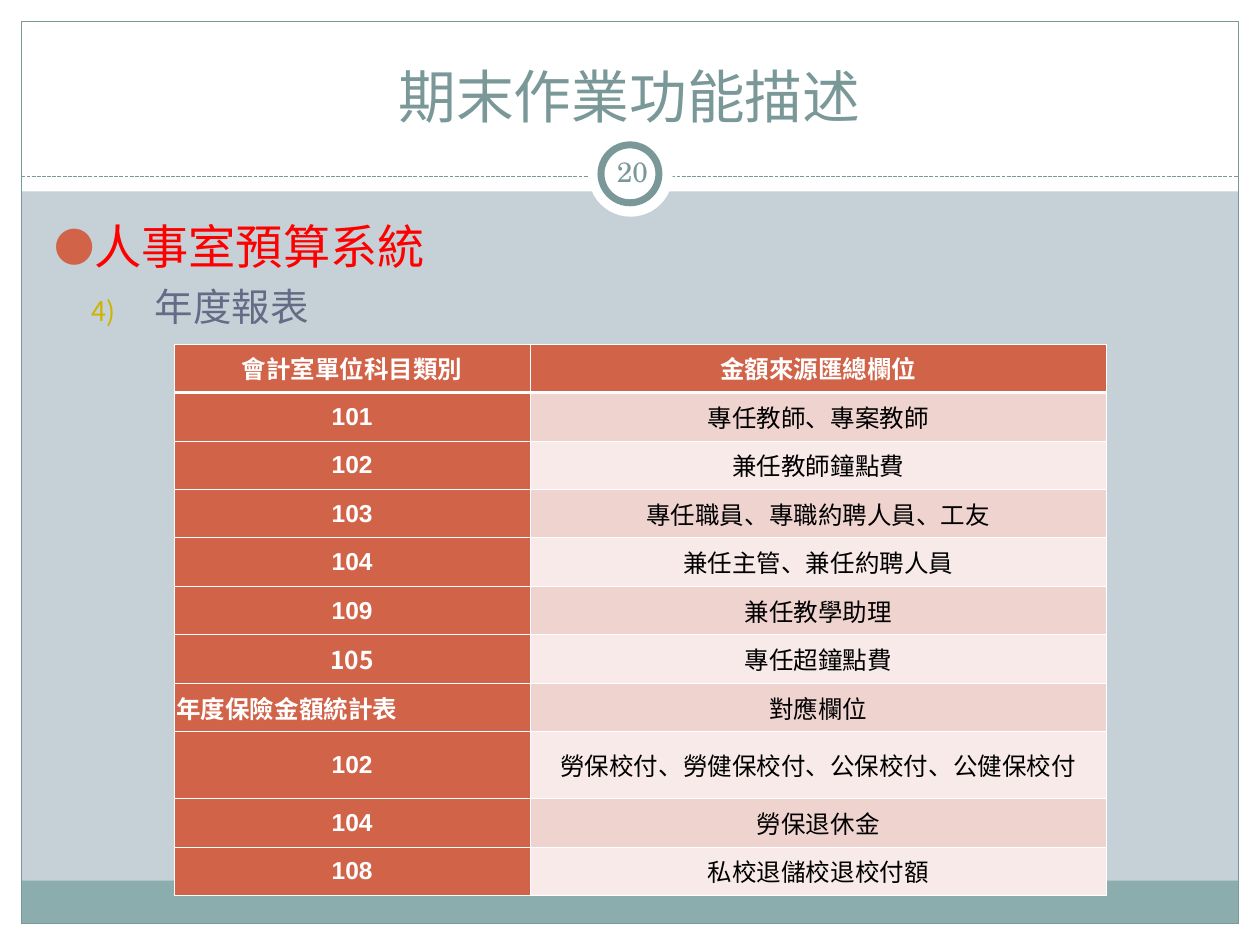
from lxml import etree
from pptx import Presentation, util as u
from pptx.dml.color import RGBColor
from pptx.enum import dml, shapes, text
from pptx.oxml.ns import qn

COLORS = {
    "background": "C5D1D7", "white": "FFFFFF", "band": "8CADAE",
    "frame": "7B9899", "accent": "D16349", "dark_row": "EED3CF",
    "light_row": "F7EAE9", "heading": "FF0000", "item": "646B86",
    "number": "CCB400", "black": "000000",
}
SERIF, SANS, LATIN = "TeX Gyre Schola", "Noto Sans CJK SC", "Arial"
COLUMNS, ROWS = 100, 75  # slide grid of square units

REPORT_HEADER = ("會計室單位科目類別", "金額來源匯總欄位")
REPORT_ROWS = [
    ("101", "專任教師、專案教師"),
    ("102", "兼任教師鐘點費"),
    ("103", "專任職員、專職約聘人員、工友"),
    ("104", "兼任主管、兼任約聘人員"),
    ("109", "兼任教學助理"),
    ("105", "專任超鐘點費"),
    ("年度保險金額統計表", "對應欄位"),
    ("102", "勞保校付、勞健保校付、公保校付、公健保校付"),
    ("104", "勞保退休金"),
    ("108", "私校退儲校退校付額"),
]
SECTION_ROW, TALL_ROW, SANS_NUMBER_ROW = 7, 8, 6


def rgb(name):
    return RGBColor.from_string(COLORS[name])


def add_xml(parent, tag, **attributes):
    return etree.SubElement(parent, qn(tag), attributes)


class SlideBuilder:
    def __init__(self, deck, layout):
        self.slide = deck.slides.add_slide(layout)
        self.shapes = self.slide.shapes
        self.unit_x = deck.slide_width / COLUMNS
        self.unit_y = deck.slide_height / ROWS
        fill = self.slide.background.fill
        fill.solid()
        fill.fore_color.rgb = rgb("background")

    def x(self, columns):
        return u.Emu(round(columns * self.unit_x))

    def y(self, rows):
        return u.Emu(round(rows * self.unit_y))

    def box(self, left, top, width, height):
        return self.x(left), self.y(top), self.x(width), self.y(height)

    def style(self, paragraph, size, color, face, bold=False, align=None):
        paragraph.alignment = align
        font = paragraph.font
        font.size, font.bold, font.name = u.Pt(size), bold, face
        font.color.rgb = rgb(color)
        add_xml(font._element, "a:ea", typeface=SANS)

    def shape(self, kind, box, fill=None, line=None, width=0.75):
        item = self.shapes.add_shape(kind, *self.box(*box))
        item.shadow.inherit = False
        if fill:
            item.fill.solid()
            item.fill.fore_color.rgb = rgb(fill)
        else:
            item.fill.background()
        if line:
            item.line.color.rgb = rgb(line)
            item.line.width = u.Pt(width)
        else:
            item.line.fill.background()

    def dashed_rule(self, left, right, top):
        rule = self.shapes.add_connector(
            shapes.MSO_CONNECTOR.STRAIGHT,
            self.x(left), self.y(top), self.x(right), self.y(top))
        rule.line.color.rgb = rgb("frame")
        rule.line.width = u.Pt(0.75)
        rule.line.dash_style = dml.MSO_LINE.SQUARE_DOT
        add_xml(rule._element.spPr, "a:effectLst")

    def placeholder(self, item, box, anchor):
        """Place a template placeholder above the decoration."""
        item.left, item.top, item.width, item.height = self.box(*box)
        self.shapes._spTree.append(item._element)
        frame = item.text_frame
        frame.auto_size = text.MSO_AUTO_SIZE.NONE
        frame.vertical_anchor = anchor
        return frame

    def title(self, words, box):
        frame = self.placeholder(self.shapes.title, box, text.MSO_ANCHOR.BOTTOM)
        frame.text = words
        self.style(frame.paragraphs[0], 33, "frame", SERIF, align=text.PP_ALIGN.CENTER)

    def outline(self, entries, box):
        frame = self.placeholder(self.slide.placeholders[1], box, text.MSO_ANCHOR.TOP)
        frame.text = "\n".join(entry["words"] for entry in entries)
        for level, (paragraph, entry) in enumerate(zip(frame.paragraphs, entries)):
            paragraph.level = level
            paragraph.space_before = u.Pt(entry["before"])
            props = paragraph._p.get_or_add_pPr()
            props.set("marL", str(u.Inches(entry["margin"])))
            props.set("indent", str(-u.Inches(entry["hanging"])))
            color = add_xml(props, "a:buClr")
            add_xml(color, "a:srgbClr", val=COLORS[entry["bullet_color"]])
            add_xml(props, "a:buSzPct", val=str(entry["bullet_share"] * 1000))
            add_xml(props, "a:buFont", typeface=SANS)
            add_xml(props, entry["bullet"][0], **entry["bullet"][1])
            self.style(paragraph, entry["size"], entry["color"], SERIF)

    def page_number(self, words, box):
        frame = self.shapes.add_textbox(*self.box(*box)).text_frame
        frame.word_wrap = True
        frame.vertical_anchor = text.MSO_ANCHOR.MIDDLE
        frame.margin_left = frame.margin_right = u.Inches(0.05)
        frame.text = words
        self.style(frame.paragraphs[0], 16, "frame", SERIF, align=text.PP_ALIGN.CENTER)

    def cell(self, cell, words, fill, color, face, bold, align, thick_side=None):
        cell.text = words
        cell.vertical_anchor = text.MSO_ANCHOR.MIDDLE
        cell.margin_left = cell.margin_right = u.Inches(0.02)
        for side in "LRTB":
            width = 1.47 if side == thick_side else 0.45
            border = add_xml(cell._tc.get_or_add_tcPr(), f"a:ln{side}", w=str(u.Pt(width)))
            add_xml(add_xml(border, "a:solidFill"), "a:srgbClr", val=COLORS["white"])
        cell.fill.solid()
        cell.fill.fore_color.rgb = rgb(fill)
        self.style(cell.text_frame.paragraphs[0], 14, color, face, bold, align)

    def report_table(self, box, widths, row_height, tall_height):
        rows = [REPORT_HEADER, *REPORT_ROWS]
        table = self.shapes.add_table(len(rows), len(widths), *self.box(*box)).table
        table.first_row = table.horz_banding = False
        for column, width in zip(table.columns, widths):
            column.width = self.x(width)
        for r, words in enumerate(rows):
            table.rows[r].height = self.y(tall_height if r == TALL_ROW else row_height)
            for c, word in enumerate(words):
                solid = r == 0 or c == 0
                band = "dark_row" if r % 2 else "light_row"
                number = word.isdigit() and r != SANS_NUMBER_ROW
                left = r == SECTION_ROW and c == 0
                self.cell(
                    table.cell(r, c), word,
                    fill="accent" if solid else band,
                    color="white" if solid else "black",
                    face=LATIN if number else SANS, bold=solid,
                    align=text.PP_ALIGN.LEFT if left else text.PP_ALIGN.CENTER,
                    thick_side={0: "B", 1: "T"}.get(r))


def main():
    deck = Presentation()
    deck.slide_width, deck.slide_height = u.Inches(10), u.Inches(7.5)
    page = SlideBuilder(deck, deck.slide_layouts[1])
    rect, oval = shapes.MSO_SHAPE.RECTANGLE, shapes.MSO_SHAPE.OVAL

    # White margins, bottom band and frame
    edge = 1.7
    for margin in [(0, ROWS - edge, COLUMNS, edge), (0, 0, COLUMNS, 15.2),
                   (0, 0, edge, ROWS), (COLUMNS - edge, 0, edge, ROWS)]:
        page.shape(rect, margin, "white")
    inner = COLUMNS - 2 * edge
    page.shape(rect, (edge, 69.9, inner, 3.4), "band")
    page.shape(rect, (edge, edge, inner, ROWS - 2 * edge), line="frame")

    # Dashed rule with the page number ring
    page.dashed_rule(edge, COLUMNS - edge, 14)
    page.shape(oval, (46.7, 10.5, 6.7, 6.7), "white")
    page.shape(oval, (47.7, 11.5, 4.6, 4.6), "white", "frame", 4)

    # Title, outline and page number
    page.title("期末作業功能描述", (3.3, 2.5, 93.3, 8.3))
    page.outline([
        dict(words="人事室預算系統", size=27, color="heading", before=0,
             margin=0.3, hanging=0.3, bullet_color="accent", bullet_share=85,
             bullet=("a:buChar", {"char": "●"})),
        dict(words="年度報表", size=22, color="item", before=5.5,
             margin=0.8, hanging=0.5, bullet_color="number", bullet_share=70,
             bullet=("a:buAutoNum", {"type": "arabicParenR", "startAt": "4"})),
    ], (3.3, 16.7, 93, 50))
    page.page_number("20", (47.7, 11.2, 5, 4.8))

    # Report table
    page.report_table((13.8, 27.3, 74, 43.8), (28.3, 45.7), 3.85, 5.3)

    deck.save("out.pptx")


if __name__ == "__main__":
    main()
